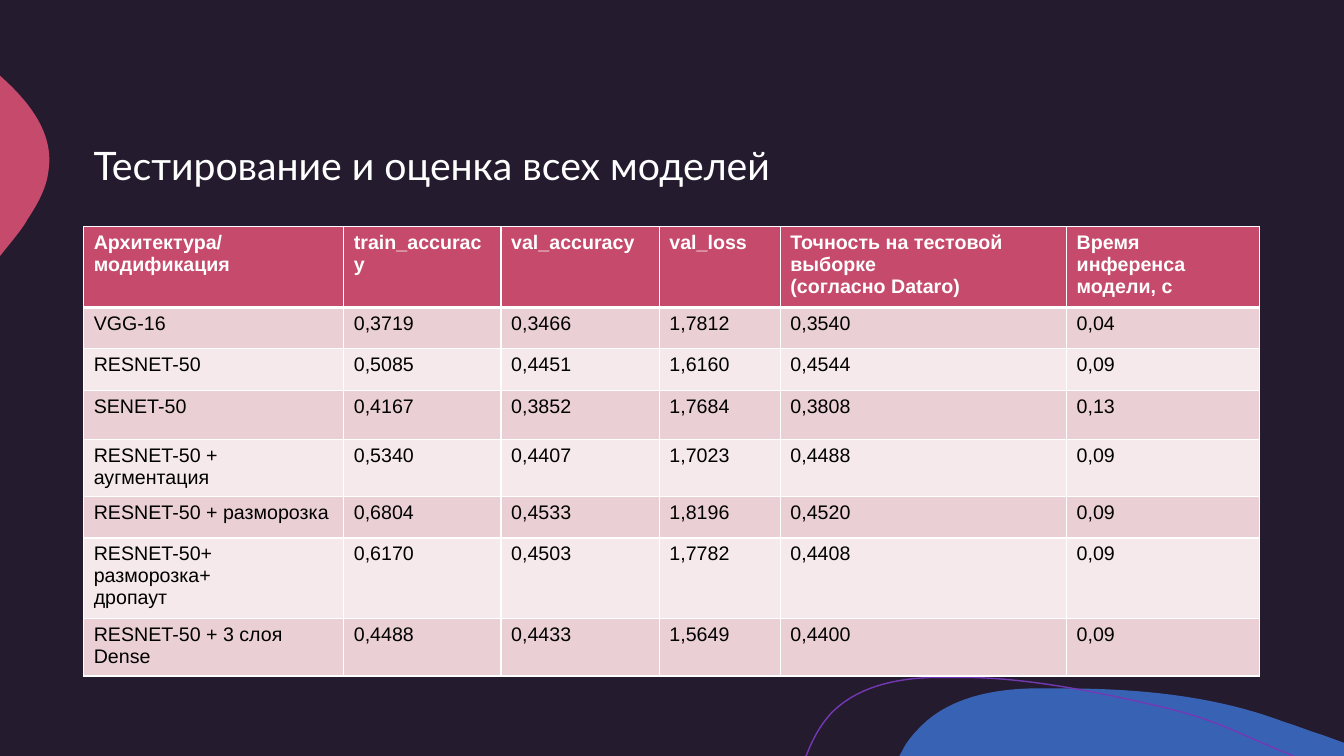
import pptx
import pptx.dml.color
import pptx.enum.text
import pptx.oxml
import pptx.oxml.ns
import pptx.util
from pptx.util import Inches

WHITE, ROSE, BLUE, PURPLE = "FFFFFF", "C64A6B", "3863B4", "7438B4"
BANDS = ("EAD0D4", "F5E9EB")

HEAD = ("Архитектура/модификация", "train_accuracy", "val_accuracy", "val_loss",
        "Точность на тестовой выборке\v(согласно Dataro)", "Время инференса модели, с")
MODELS = (
    ("VGG-16", "0,3719", "0,3466", "1,7812", "0,3540", "0,04"),
    ("RESNET-50", "0,5085", "0,4451", "1,6160", "0,4544", "0,09"),
    ("SENET-50", "0,4167", "0,3852", "1,7684", "0,3808", "0,13"),
    ("RESNET-50 + аугментация", "0,5340", "0,4407", "1,7023", "0,4488", "0,09"),
    ("RESNET-50 + разморозка", "0,6804", "0,4533", "1,8196", "0,4520", "0,09"),
    ("RESNET-50+ разморозка+\vдропаут", "0,6170", "0,4503", "1,7782", "0,4408", "0,09"),
    ("RESNET-50 + 3 слоя Dense", "0,4488", "0,4433", "1,5649", "0,4400", "0,09"),
)
WIDTHS = (2.58, 1.56, 1.57, 1.2, 2.84, 1.91)
HEIGHTS = (0.41, 0.41, 0.41, 0.49, 0.41, 0.41, 0.41, 0.41)

# Each part holds one point for a line or three for a cubic curve.
HILL = (
    ((2.36, 0), (3.12, 0.07), (3.81, 0.33)),
    ((3.94, 0.37), (4.06, 0.42), (4.19, 0.46)),
    ((4.41, 0.54),), ((4.41, 0.67),), ((0, 0.67),), ((0.06, 0.56),),
    ((0.1, 0.5), (0.14, 0.45), (0.19, 0.4)),
    ((0.47, 0.1), (0.9, 0.01), (1.31, 0)),
    ((1.41, 0), (1.51, 0), (1.62, 0)),
)
LEAF = (
    ((0.01, 0.01),),
    ((0.3, 0.27), (0.54, 0.58), (0.48, 0.95)),
    ((0.46, 1.12), (0.37, 1.28), (0.27, 1.43)),
    ((0.24, 1.49), (0.17, 1.58), (0.08, 1.69)),
    ((0, 1.79),),
)
WAVE = (
    ((0.01, 0.77),),
    ((0.07, 0.61), (0.15, 0.47), (0.25, 0.36)),
    ((0.51, 0.09), (0.9, 0.01), (1.27, 0)),
    ((1.56, 0),),
    ((2.23, 0), (3.01, 0.17), (3.56, 0.3)),
    ((4.1, 0.43), (4.27, 0.55), (4.84, 0.78)),
)


def color(code):
    return pptx.dml.color.RGBColor.from_string(code)


def paint(fill, code):
    fill.solid()
    fill.fore_color.rgb = color(code)


def style(font, code, **values):
    font.color.rgb = color(code)
    for name, value in values.items():
        setattr(font, name, value)


def bend(blob, parts, width):
    """Turn each three-point part into a curve and fit the box to width."""
    route = blob._element.xpath(".//a:path")[0]
    lines = iter(route.findall(pptx.oxml.ns.qn("a:lnTo")))
    for part in parts:
        steps = [next(lines) for _ in part]
        if len(steps) == 3:
            curve = pptx.oxml.parse_xml(
                f'<a:cubicBezTo {pptx.oxml.ns.nsdecls("a")}/>')
            steps[0].addprevious(curve)
            for step in steps:
                curve.append(step[0])
                route.remove(step)
    blob.width = Inches(width)
    route.set("w", str(blob.width))


def add_blob(slide, left, top, width, start, parts, fill=None, line=None):
    points = [(Inches(left + x), Inches(top + y))
              for x, y in (start,) + sum(parts, ())]
    pen = slide.shapes.build_freeform(*points[0])
    pen.add_line_segments(points[1:], close=fill is not None)
    blob = pen.convert_to_shape()
    bend(blob, parts, width)
    blob.shadow.inherit = False
    if fill:
        paint(blob.fill, fill)
    else:
        blob.fill.background()
    if line:
        paint(blob.line.fill, line)
        blob.line.width = pptx.util.Pt(1)
    else:
        blob.line.fill.background()


def add_title(slide, left, top, width, height):
    box = slide.shapes.add_textbox(*map(Inches, (left, top, width, height)))
    frame = box.text_frame
    frame.word_wrap = True
    frame.vertical_anchor = pptx.enum.text.MSO_ANCHOR.MIDDLE
    frame.text = "Тестирование и оценка всех моделей"
    line = frame.paragraphs[0]
    line.line_spacing = 0.9
    style(line.runs[0].font, WHITE, name="Lato", size=pptx.util.Pt(28))


def add_edges(cell, sizes):
    """Draw white borders; sizes maps L, R, T, B to points, in that order."""
    props = cell._tc.get_or_add_tcPr()
    for place, (side, size) in enumerate(sizes.items()):
        edge = pptx.oxml.parse_xml(
            f'<a:ln{side} {pptx.oxml.ns.nsdecls("a")} w="{pptx.util.Pt(size)}">'
            f'<a:solidFill><a:srgbClr val="{WHITE}"/></a:solidFill></a:ln{side}>')
        props.insert(place, edge)


def add_scores(slide, left, top, width, height):
    rows = (HEAD,) + MODELS
    frame = slide.shapes.add_table(len(rows), len(HEAD),
                                   *map(Inches, (left, top, width, height)))
    table = frame.table
    for col, size in zip(table.columns, WIDTHS):
        col.width = Inches(size)
    for r, texts in enumerate(rows):
        table.rows[r].height = Inches(HEIGHTS[r])
        head = r == 0
        edges = {"L": 1, "R": 1, "T": 1, "B": 3 if head else 1}
        if r == 1:
            del edges["T"]
        for c, text in enumerate(texts):
            cell = table.cell(r, c)
            cell.text_frame.text = text
            paint(cell.fill, ROSE if head else BANDS[(r - 1) % 2])
            add_edges(cell, edges)
            for run in cell.text_frame.paragraphs[0].runs:
                style(run.font, WHITE if head else "000000", name="Arial",
                      size=pptx.util.Pt(14), bold=head)
    frame.height = Inches(height)


def main():
    deck = pptx.Presentation()
    deck.slide_width, deck.slide_height = Inches(13.33), Inches(7.5)
    slide = deck.slides.add_slide(deck.slide_layouts[6])
    paint(slide.background.fill, "241B2F")
    add_blob(slide, 8.92, 6.83, 4.41, (1.62, 0), HILL, fill=BLUE)
    add_blob(slide, 0, 0.75, 0.49, (0, 0), LEAF, fill=ROSE)
    add_blob(slide, 7.99, 6.72, 4.84, (0, 0.78), WAVE, line=PURPLE)
    add_title(slide, 0.83, 0.83, 11.67, 1.67)
    add_scores(slide, 0.83, 2.25, 11.67, 3.74)
    deck.save("out.pptx")


if __name__ == "__main__":
    main()
